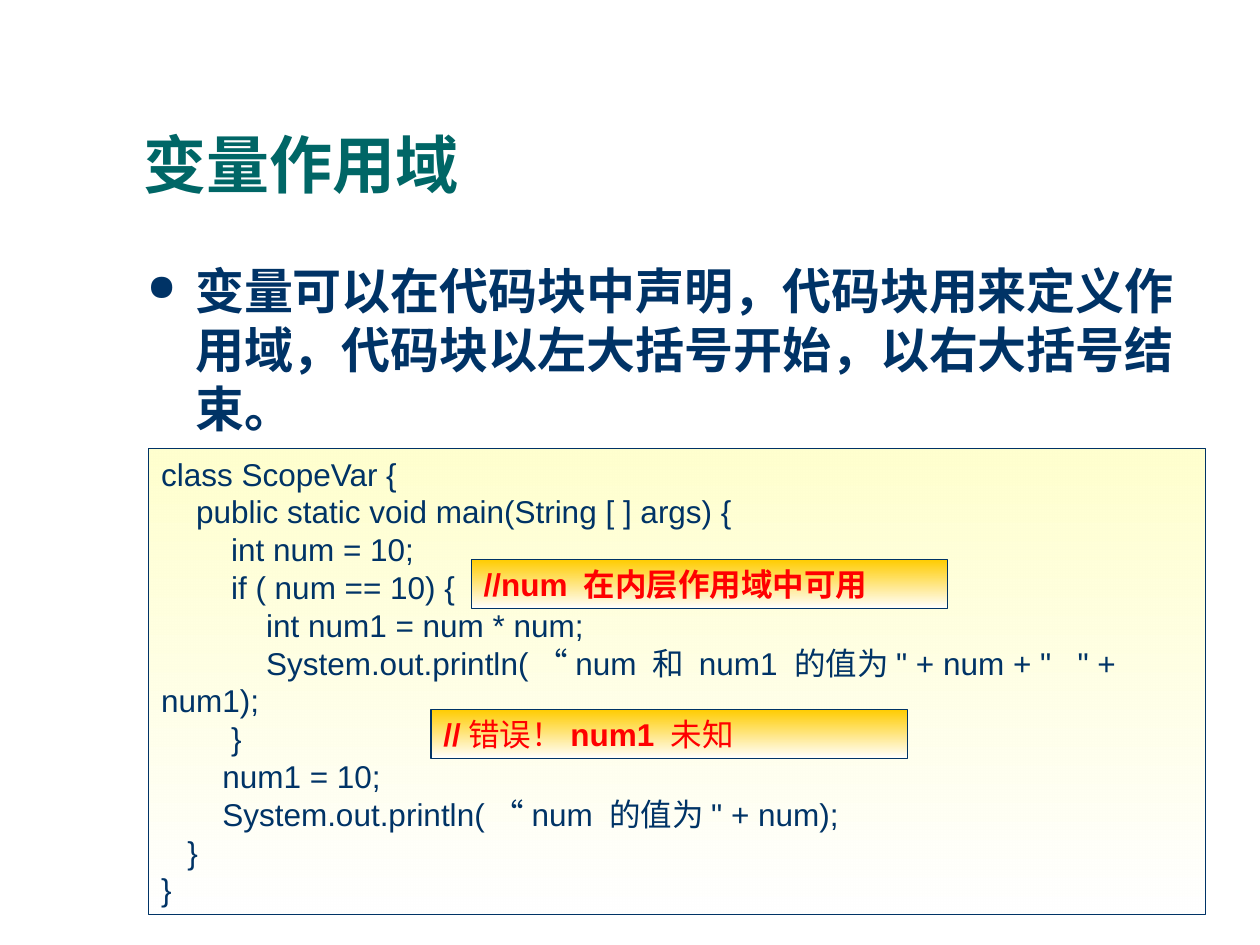
import pptx
import pptx.util
import pptx.dml.color
import pptx.enum.shapes
import pptx.enum.text
import pptx.oxml.ns
import lxml.etree

Inches = pptx.util.Inches
Pt = pptx.util.Pt
qn = pptx.oxml.ns.qn
anchors = pptx.enum.text.MSO_ANCHOR

colors = {
    "title": "006666",
    "navy": "003366",
    "cream": "FFFFCC",
    "gold": "FFCC00",
    "white": "FFFFFF",
    "red": "FF0000",
}


def add_run(para, text, size, font, color, bold):
    span = para.add_run()
    span.text = text
    span.font.size = Pt(size)
    span.font.name = font
    span.font.bold = bold
    span.font.color.rgb = pptx.dml.color.RGBColor.from_string(colors[color])


def add_gradient_box(page, left, top, width, height, color):
    box = page.shapes.add_shape(
        pptx.enum.shapes.MSO_SHAPE.RECTANGLE,
        Inches(left), Inches(top), Inches(width), Inches(height))
    box.shadow.inherit = False
    box.fill.gradient()
    box.fill.gradient_angle = 270
    for stop, name in zip(box.fill.gradient_stops, (color, "white")):
        stop.color.rgb = pptx.dml.color.RGBColor.from_string(colors[name])
    box.line.color.rgb = pptx.dml.color.RGBColor.from_string(colors["navy"])
    box.line.width = Pt(0.75)
    return box


deck = pptx.Presentation()
deck.slide_width = Inches(10)
deck.slide_height = Inches(7.5)
page = deck.slides.add_slide(deck.slide_layouts[6])

title = page.shapes.add_textbox(Inches(1.04), Inches(0.89), Inches(8.41), Inches(0.76))
title.text_frame.word_wrap = True
title.text_frame.vertical_anchor = anchors.BOTTOM
para = title.text_frame.paragraphs[0]
para.line_spacing = 0.9
add_run(para, "变量作用域", 36, "Times New Roman", "title", True)

body = page.shapes.add_textbox(Inches(1.07), Inches(2.02), Inches(8.41), Inches(4.64))
body.text_frame.word_wrap = True
para = body.text_frame.paragraphs[0]
para.space_before = Pt(7)
para.space_after = Pt(14)
add_run(para, "变量可以在代码块中声明，代码块用来定义作用域，代码块以左大括号开始，以右大括号结束。",
        28, "Times New Roman", "navy", True)
properties = para._p.get_or_add_pPr()
properties.set("marL", str(Inches(0.38)))
properties.set("indent", str(-Inches(0.38)))
bullet_color = lxml.etree.SubElement(properties, qn("a:buClr"))
lxml.etree.SubElement(bullet_color, qn("a:srgbClr"), val=colors["navy"])
lxml.etree.SubElement(properties, qn("a:buSzPct"), val="75000")
lxml.etree.SubElement(properties, qn("a:buChar"), char="●")

code_lines = [
    (0, "class ScopeVar {"),
    (4, "public static void main(String [ ] args) {"),
    (8, "int num = 10;"),
    (8, "if ( num == 10) {"),
    (12, "int num1 = num * num;"),
    (12, 'System.out.println(“num 和 num1 的值为" + num + "   " + num1);'),
    (8, "}"),
    (7, "num1 = 10;"),
    (7, 'System.out.println(“num 的值为" + num);'),
    (3, "}"),
    (0, "}"),
]
code = add_gradient_box(page, 1.18, 3.56, 8.39, 3.7, "cream")
first_stop = code.fill._fill._gradFill.find(".//" + qn("a:srgbClr"))
lxml.etree.SubElement(first_stop, qn("a:alpha"), val="94000")
frame = code.text_frame
frame.word_wrap = True
frame.vertical_anchor = anchors.TOP
for index, (columns, text) in enumerate(code_lines):
    para = frame.add_paragraph() if index else frame.paragraphs[0]
    para.alignment = pptx.enum.text.PP_ALIGN.LEFT
    properties = para._p.get_or_add_pPr()
    properties.set("marL", "0")
    properties.set("indent", str(Pt(5 * columns)))
    add_run(para, text, 18, "Arial", "navy", False)

notes = [
    (3.42, 5.63, [("//", True), ("错误！", False), ("num1 ", True), ("未知", False)]),
    (3.74, 4.44, [("//num 在内层作用域中可用", True)]),
]
for left, top, parts in notes:
    note = add_gradient_box(page, left, top, 3.78, 0.39, "gold")
    note.text_frame.word_wrap = False
    note.text_frame.vertical_anchor = anchors.MIDDLE
    para = note.text_frame.paragraphs[0]
    para.alignment = pptx.enum.text.PP_ALIGN.LEFT
    for text, bold in parts:
        add_run(para, text, 18, "Arial", "red", bold)

deck.save("out.pptx")
